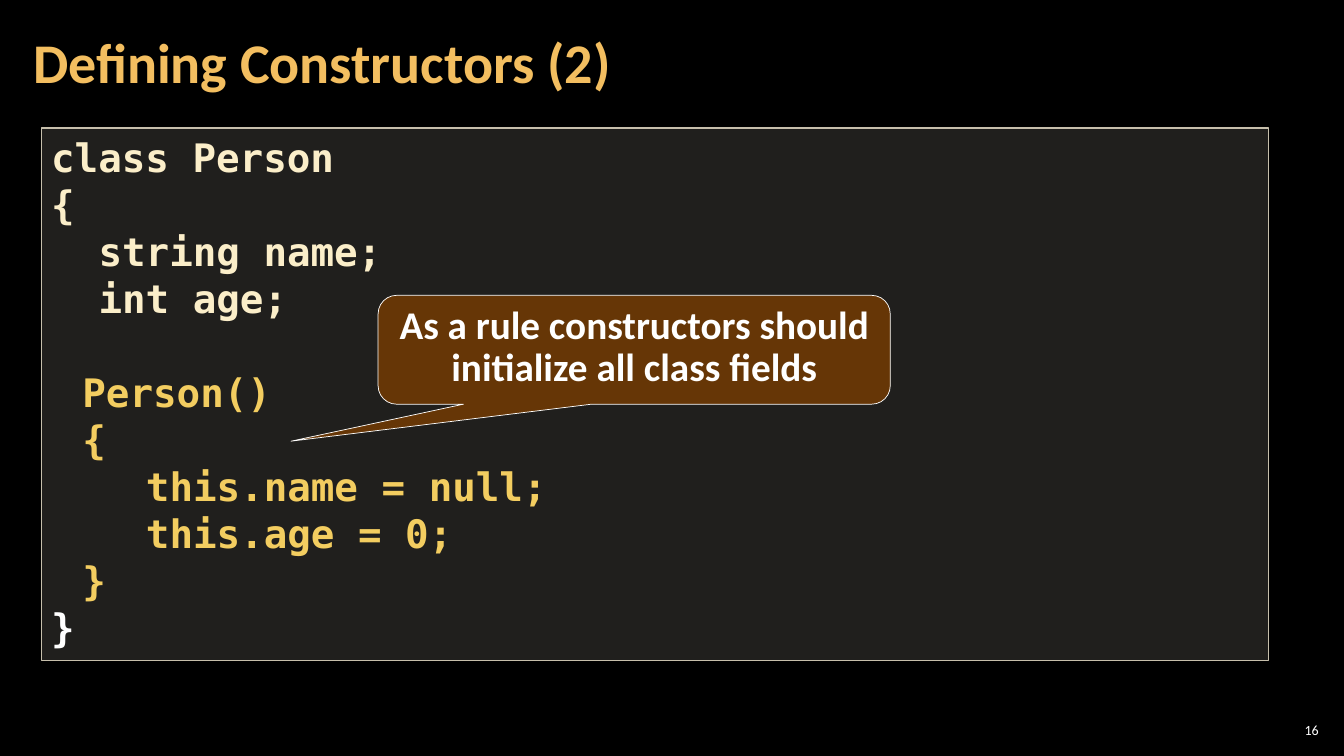
from dataclasses import dataclass

from lxml.etree import SubElement
from pptx import Presentation
from pptx.dml.color import RGBColor
from pptx.enum.shapes import MSO_SHAPE
from pptx.enum.text import MSO_ANCHOR, PP_ALIGN
from pptx.oxml.ns import qn
from pptx.shapes.autoshape import Shape
from pptx.slide import Slide
from pptx.text.text import _Paragraph as Paragraph
from pptx.util import Inches, Pt

BLACK = RGBColor(0x00, 0x00, 0x00)
WHITE = RGBColor(0xFF, 0xFF, 0xFF)
TITLE_ORANGE = RGBColor(0xF3, 0xBE, 0x60)
CODE_CREAM = RGBColor(0xFB, 0xEE, 0xC9)
CODE_YELLOW = RGBColor(0xF3, 0xCD, 0x60)
PANEL_FILL = RGBColor(0xD9, 0xD5, 0xC7)
PANEL_LINE = RGBColor(0xC7, 0xBF, 0xAC)
CALLOUT_BROWN = RGBColor(0x66, 0x36, 0x06)

TEXT_FONT = "Calibri"
CODE_FONT = "DejaVu Sans Mono"
CODE_LINE_HEIGHT = 33.5


@dataclass(frozen=True)
class Box:
    left: float
    top: float
    width: float
    height: float

    def lengths(self) -> tuple:
        return tuple(Inches(n) for n in (self.left, self.top, self.width, self.height))


@dataclass(frozen=True)
class CodeLine:
    text: str
    color: RGBColor
    indent: float = 0
    blank_lines_before: int = 0


CODE_LINES = [
    CodeLine("class Person", CODE_CREAM),
    CodeLine("{", CODE_CREAM),
    CodeLine("string name;", CODE_CREAM, 0.47),
    CodeLine("int age;", CODE_CREAM, 0.47),
    CodeLine("Person()", CODE_YELLOW, 0.31, 1),
    CodeLine("{", CODE_YELLOW, 0.31),
    CodeLine("this.name = null;", CODE_YELLOW, 0.94),
    CodeLine("this.age = 0;", CODE_YELLOW, 0.94),
    CodeLine("}", CODE_YELLOW, 0.31),
    CodeLine("}", WHITE),
]


def write_paragraph(paragraph: Paragraph, text: str, font_name: str, size: float,
                    color: RGBColor, bold: bool, alignment: PP_ALIGN) -> None:
    paragraph.text = text
    paragraph.alignment = alignment
    font = paragraph.runs[0].font
    font.name = font_name
    font.size = Pt(size)
    font.bold = bold
    font.color.rgb = color


def add_text(slide: Slide, box: Box, text: str, size: float, color: RGBColor,
             bold: bool, alignment: PP_ALIGN, side_margin: float) -> Paragraph:
    text_frame = slide.shapes.add_textbox(*box.lengths()).text_frame
    text_frame.word_wrap = True
    text_frame.vertical_anchor = MSO_ANCHOR.MIDDLE
    text_frame.margin_left = text_frame.margin_right = Inches(side_margin)
    text_frame.margin_top = text_frame.margin_bottom = Inches(0.04)
    paragraph = text_frame.paragraphs[0]
    write_paragraph(paragraph, text, TEXT_FONT, size, color, bold, alignment)
    return paragraph


def add_filled_shape(slide: Slide, kind: MSO_SHAPE, box: Box, fill: RGBColor,
                     line: RGBColor, line_width: float) -> Shape:
    shape = slide.shapes.add_shape(kind, *box.lengths())
    shape.shadow.inherit = False
    shape.fill.solid()
    shape.fill.fore_color.rgb = fill
    shape.line.color.rgb = line
    shape.line.width = Pt(line_width)
    shape.text_frame.word_wrap = True
    shape.text_frame.vertical_anchor = MSO_ANCHOR.TOP
    return shape


def set_opacity(shape: Shape, percent: int) -> None:
    color = shape.fill._xPr.find(qn("a:solidFill")).find(qn("a:srgbClr"))
    SubElement(color, qn("a:alpha")).set("val", str(percent * 1000))


def add_code_panel(slide: Slide) -> None:
    panel = add_filled_shape(slide, MSO_SHAPE.RECTANGLE, Box(0.41, 1.27, 12.17, 5.28),
                             PANEL_FILL, PANEL_LINE, 1)
    set_opacity(panel, 15)
    text_frame = panel.text_frame
    text_frame.text = "\n".join(line.text for line in CODE_LINES)
    for paragraph, line in zip(text_frame.paragraphs, CODE_LINES):
        write_paragraph(paragraph, line.text, CODE_FONT, 28, line.color, True, PP_ALIGN.LEFT)
        paragraph.space_before = Pt(CODE_LINE_HEIGHT * line.blank_lines_before)
        paragraph._p.get_or_add_pPr().set("marL", str(Inches(line.indent)))


def add_callout(slide: Slide) -> None:
    callout = add_filled_shape(slide, MSO_SHAPE.ROUNDED_RECTANGULAR_CALLOUT,
                               Box(3.75, 2.93, 5.08, 1.08), CALLOUT_BROWN, WHITE, 0.5)
    for index, value in enumerate((-0.67, 0.84, 0.17)):
        callout.adjustments[index] = value
    paragraph = callout.text_frame.paragraphs[0]
    write_paragraph(paragraph, "As a rule constructors should initialize all class fields",
                    TEXT_FONT, 28, WHITE, True, PP_ALIGN.CENTER)
    paragraph.line_spacing = Pt(30)


def main() -> None:
    presentation = Presentation()
    presentation.slide_width = Inches(13.33)
    presentation.slide_height = Inches(7.5)
    slide = presentation.slides.add_slide(presentation.slide_layouts[6])
    slide.background.fill.solid()
    slide.background.fill.fore_color.rgb = BLACK

    add_text(slide, Box(12.65, 7.14, 0.47, 0.21), "16", 10, WHITE, False,
             PP_ALIGN.RIGHT, 0.04)
    title = add_text(slide, Box(0.21, 0.04, 10.47, 1.21), "Defining Constructors (2)", 40,
                     TITLE_ORANGE, True, PP_ALIGN.LEFT, 0.12)
    title.line_spacing = 0.9
    add_code_panel(slide)
    add_callout(slide)
    presentation.save("out.pptx")


if __name__ == "__main__":
    main()
